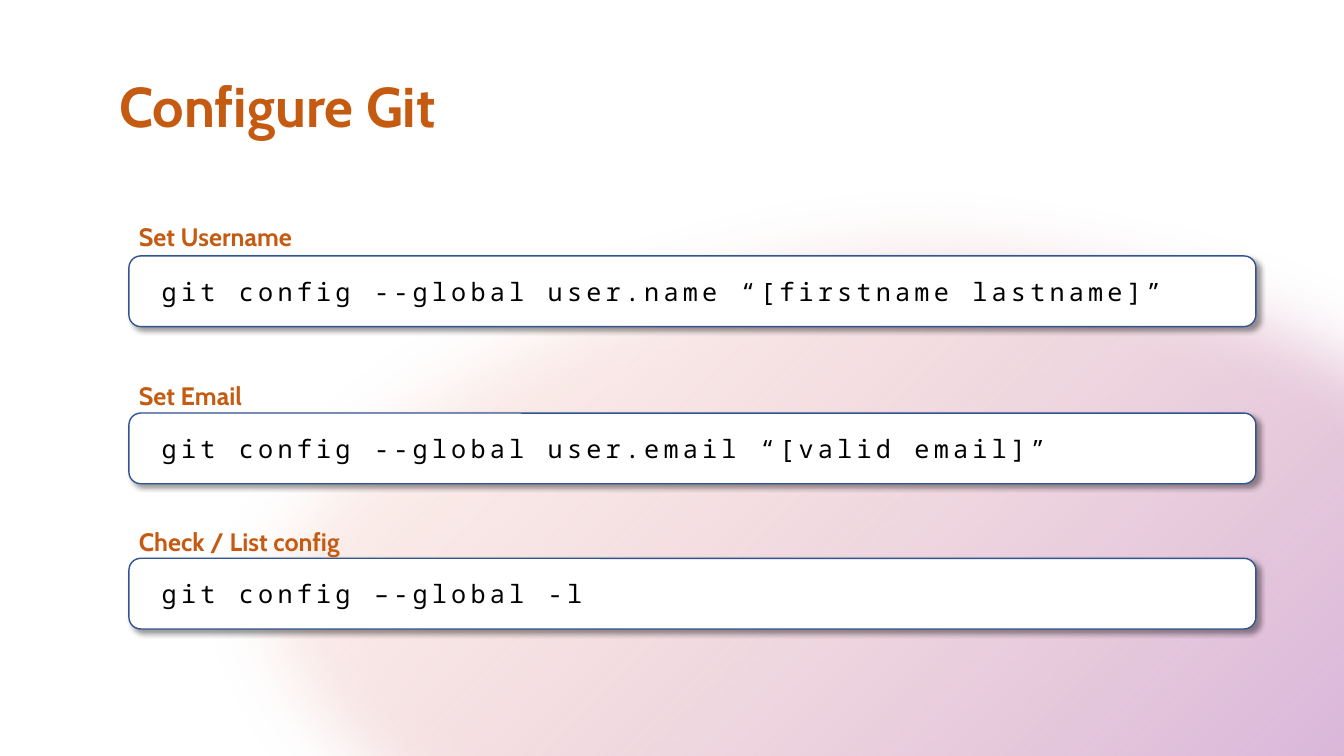
"""Build the "Configure Git" slide with three labelled commands."""
from dataclasses import dataclass

import pptx
import pptx.dml.color
import pptx.enum.shapes
import pptx.enum.text
import pptx.oxml
import pptx.oxml.ns
import pptx.util
from lxml import etree
from pptx.util import Cm


@dataclass(frozen=True)
class Theme:
    heading_font: str = "Cabin"
    code_font: str = "Noto Sans Mono"
    title_size: int = 40
    text_size: int = 18
    accent: str = "C55A11"
    code: str = "000000"
    card: str = "FFFFFF"
    border: str = "325491"
    glow: tuple = (("FEC9A8", 10), ("BF95DF", 100))


theme = Theme()
qn = pptx.oxml.ns.qn


def rgb(value):
    return pptx.dml.color.RGBColor.from_string(value)


def write(frame, text, font_name, size, color, bold=False):
    """Fill a text frame with one formatted line and return its run."""
    frame.text = text
    run = frame.paragraphs[0].runs[0]
    run.font.name = font_name
    run.font.size = pptx.util.Pt(size)
    run.font.bold = bold
    run.font.color.rgb = rgb(color)
    return run


presentation = pptx.Presentation()
presentation.slide_width = Cm(33.87)
presentation.slide_height = Cm(19.05)
slide = presentation.slides.add_slide(presentation.slide_layouts[6])
shapes = slide.shapes
kinds = pptx.enum.shapes.MSO_SHAPE

glow = shapes.add_shape(kinds.OVAL, Cm(4.72), Cm(4.57), Cm(36.96), Cm(21.39))
glow.fill.gradient()
glow.fill.gradient_angle = 315
for stop, (color, _) in zip(glow.fill.gradient_stops, theme.glow):
    stop.color.rgb = rgb(color)
for color_element, (_, opacity) in zip(glow.element.spPr.iter(qn("a:srgbClr")), theme.glow):
    etree.SubElement(color_element, qn("a:alpha"), val=str(opacity * 1000))
glow.line.fill.background()
glow.shadow.inherit = False
glow_effects = glow.element.spPr.find(qn("a:effectLst"))
etree.SubElement(glow_effects, qn("a:softEdge"), rad=str(pptx.util.Pt(50)))

title = shapes.add_textbox(Cm(1.9), Cm(1.68), Cm(10.19), Cm(1.96))
title.text_frame.word_wrap = True
write(title.text_frame, "Configure Git", theme.heading_font, theme.title_size, theme.accent, True)
title.text_frame.paragraphs[0].alignment = pptx.enum.text.PP_ALIGN.CENTER

steps = (
    ("Set Username", 5.44, 6.45, "git config --global user.name “[firstname lastname]”"),
    ("Set Email", 9.47, 10.41, "git config --global user.email “[valid email]”"),
    ("Check / List config", 13.13, 14.07, "git config –-global -l"),
)
for caption, caption_top, card_top, command in steps:
    label = shapes.add_textbox(Cm(3.25), Cm(caption_top), Cm(23.37), Cm(1.02))
    label.text_frame.word_wrap = True
    write(label.text_frame, caption, theme.heading_font, theme.text_size, theme.accent, True)

    card = shapes.add_shape(kinds.ROUNDED_RECTANGLE, Cm(3.25), Cm(card_top), Cm(28.4), Cm(1.78))
    card.fill.solid()
    card.fill.fore_color.rgb = rgb(theme.card)
    card.line.color.rgb = rgb(theme.border)
    card.line.width = pptx.util.Pt(1)
    card.shadow.inherit = False
    card_effects = card.element.spPr.find(qn("a:effectLst"))
    shadow = etree.SubElement(
        card_effects, qn("a:outerShdw"), blurRad=str(pptx.util.Pt(4)),
        dist=str(pptx.util.Pt(3)), dir="2700000", algn="tl", rotWithShape="0")
    shadow_color = etree.SubElement(shadow, qn("a:srgbClr"), val=theme.code)
    etree.SubElement(shadow_color, qn("a:alpha"), val="40000")

    card.text_frame.word_wrap = True
    card.text_frame.margin_left = Cm(0.74)
    card.text_frame.vertical_anchor = pptx.enum.text.MSO_ANCHOR.MIDDLE
    code = write(card.text_frame, command, theme.code_font, theme.text_size, theme.code)
    code.font._element.set("spc", "300")
    card.text_frame.paragraphs[0].alignment = pptx.enum.text.PP_ALIGN.LEFT

presentation.save("out.pptx")
